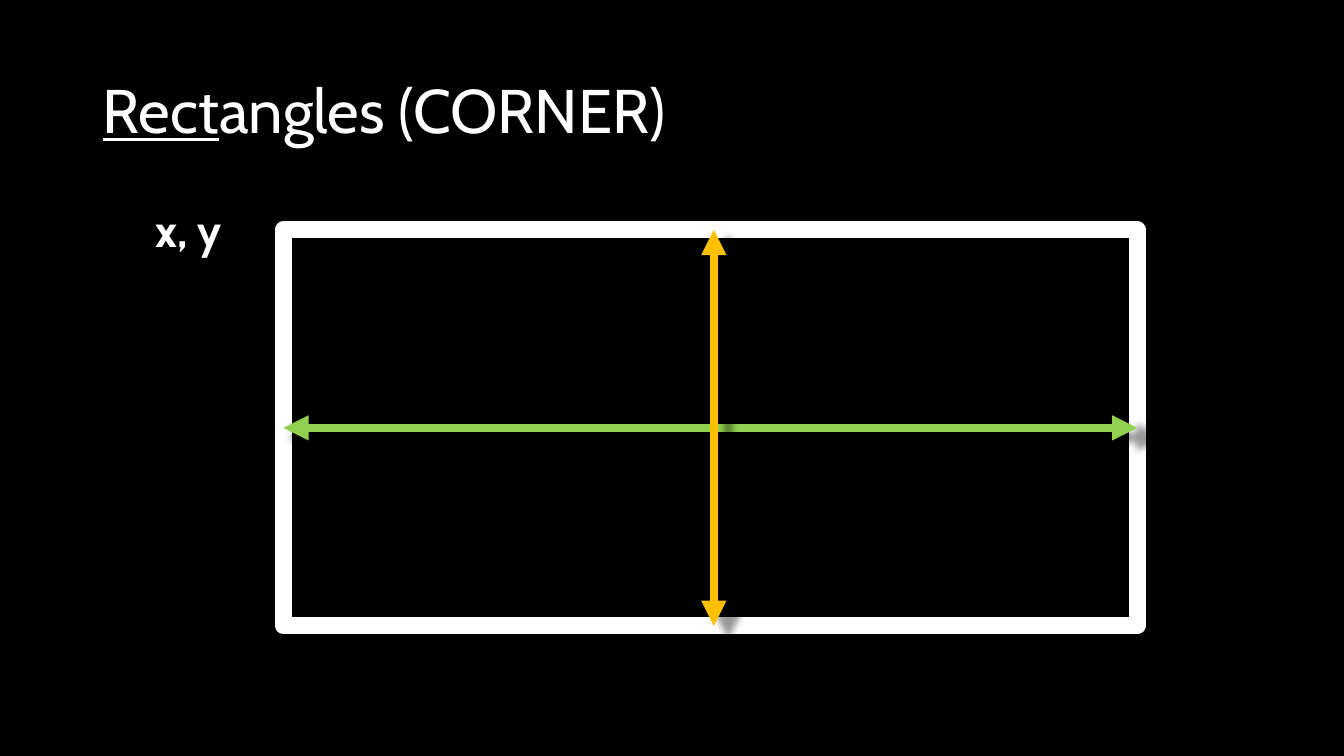
import pptx
import pptx.util
import pptx.dml.color
import pptx.enum.shapes
import pptx.enum.text
import pptx.oxml
import pptx.oxml.ns

Inches = pptx.util.Inches
RGBColor = pptx.dml.color.RGBColor
BLACK = RGBColor(0x00, 0x00, 0x00)
WHITE = RGBColor(0xFF, 0xFF, 0xFF)
GREEN = RGBColor(0x92, 0xD0, 0x50)
AMBER = RGBColor(0xFF, 0xC0, 0x00)
NAMESPACE = pptx.oxml.ns.nsdecls("a")
SHADOW = (
    f'<a:effectLst {NAMESPACE}><a:outerShdw blurRad="63500" sx="102000" sy="102000" '
    'algn="ctr" rotWithShape="0"><a:srgbClr val="000000"><a:alpha val="40000"/>'
    '</a:srgbClr></a:outerShdw></a:effectLst>'
)

deck = pptx.Presentation()
deck.slide_width = Inches(13.33)
deck.slide_height = Inches(7.5)
page = deck.slides.add_slide(deck.slide_layouts[6])
page.background.fill.solid()
page.background.fill.fore_color.rgb = BLACK


def add_text(box, text, size, bold=False, underline=False):
    span = box.text_frame.paragraphs[0].add_run()
    span.text = text
    span.font.name = "Cabin"
    span.font.size = pptx.util.Pt(size)
    span.font.bold = bold
    span.font.underline = underline
    span.font.color.rgb = WHITE


left, top, width, height = 2.81, 2.28, 8.47, 3.93
rectangle = page.shapes.add_shape(
    pptx.enum.shapes.MSO_SHAPE.RECTANGLE,
    Inches(left), Inches(top), Inches(width), Inches(height))
rectangle.shadow.inherit = False
rectangle.fill.background()
rectangle.line.color.rgb = WHITE
rectangle.line.width = pptx.util.Pt(12)

middle = top + height / 2
height_x = 7.08
arrows = []
for color, start, end in [
    (GREEN, (left, middle), (left + width, middle)),
    (AMBER, (height_x, top + height), (height_x, top)),
]:
    arrow = page.shapes.add_connector(
        pptx.enum.shapes.MSO_CONNECTOR.STRAIGHT,
        *[Inches(value) for value in start + end])
    arrow.line.color.rgb = color
    arrow.line.width = pptx.util.Pt(6)
    outline = arrow.line._get_or_add_ln()
    for tip in ("headEnd", "tailEnd"):
        outline.append(pptx.oxml.parse_xml(f'<a:{tip} {NAMESPACE} type="triangle"/>'))
    arrow._element.spPr.append(pptx.oxml.parse_xml(SHADOW))
    arrows.append(arrow)

width_arrow = arrows[0]
width_arrow.begin_connect(rectangle, 1)
width_arrow.end_connect(rectangle, 3)

corner_label = page.shapes.add_textbox(
    Inches(1.44), Inches(1.96), Inches(0.89), Inches(0.64))
corner_label.fill.solid()
corner_label.fill.fore_color.rgb = BLACK
corner_label.text_frame.word_wrap = False
corner_label.text_frame.auto_size = pptx.enum.text.MSO_AUTO_SIZE.SHAPE_TO_FIT_TEXT
add_text(corner_label, "x, y", size=32, bold=True)

title = page.shapes.add_textbox(Inches(0.92), Inches(0.4), Inches(11.5), Inches(1.45))
title.text_frame.word_wrap = True
title.text_frame.vertical_anchor = pptx.enum.text.MSO_ANCHOR.MIDDLE
title.text_frame.paragraphs[0].line_spacing = 0.9
add_text(title, "Rect", size=44, underline=True)
add_text(title, "angles (CORNER)", size=44)

deck.save("out.pptx")
